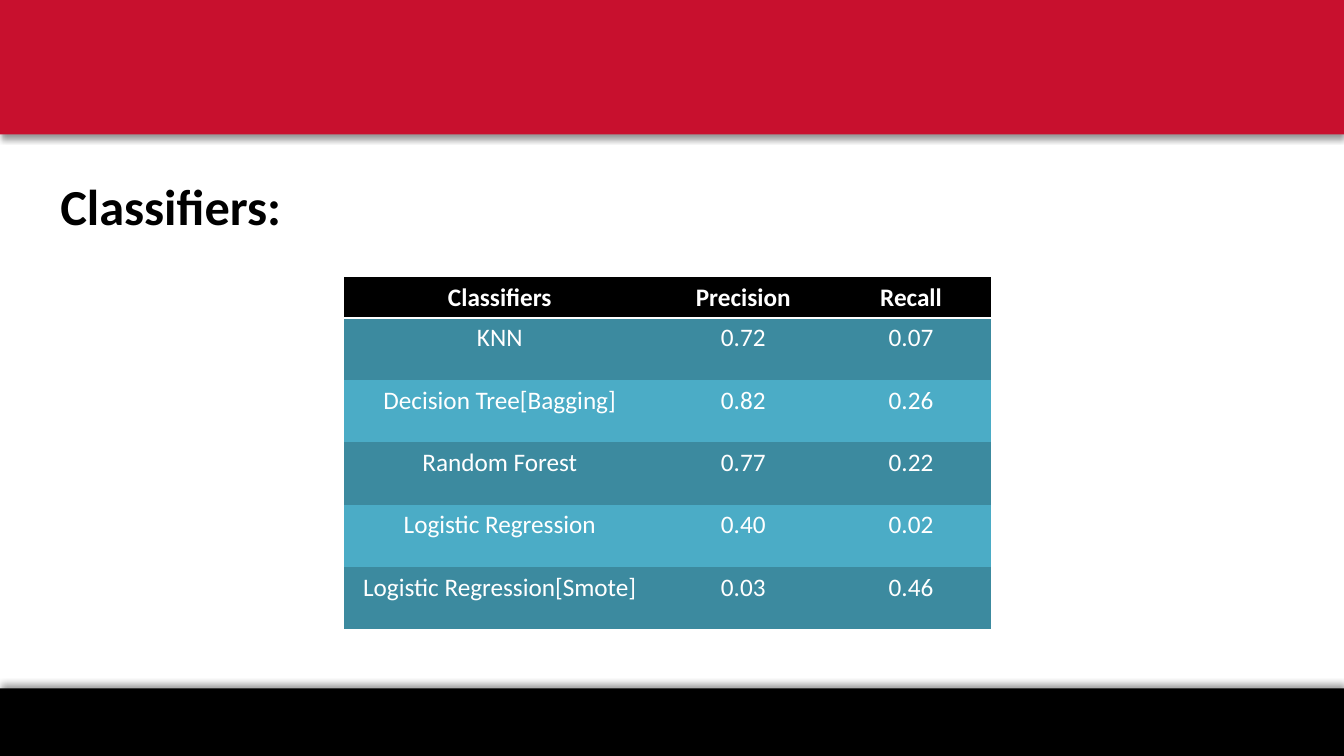
from dataclasses import dataclass

import pptx
import pptx.dml.color
import pptx.enum.shapes
import pptx.enum.text
import pptx.oxml
import pptx.oxml.ns
import pptx.util
from pptx.util import Cm

Align = pptx.enum.text.PP_ALIGN


@dataclass(frozen=True)
class Theme:
    font: str = "Calibri"
    red: str = "C8102E"
    black: str = "000000"
    white: str = "FFFFFF"
    band_dark: str = "3C8A9F"
    band_light: str = "4BACC6"
    title_size: int = 36
    table_size: int = 18
    rule_width: int = 2


THEME = Theme()
PLAIN_TABLE_STYLE = "{2D5ABB26-0587-4C30-8999-92F81FD0307C}"
HEADER = ("Classifiers", "Precision", "Recall")
RESULTS = (
    ("KNN", "0.72", "0.07"),
    ("Decision Tree[Bagging]", "0.82", "0.26"),
    ("Random Forest", "0.77", "0.22"),
    ("Logistic Regression", "0.40", "0.02"),
    ("Logistic Regression[Smote]", "0.03", "0.46"),
)
COLUMN_WIDTHS = (7.83, 4.44, 4.02)
HEADER_HEIGHT = 1.03
ROW_HEIGHT = 1.57


def rgb(color):
    return pptx.dml.color.RGBColor.from_string(color)


def write_text(text_frame, text, *, size, color, bold=False, align=Align.LEFT):
    paragraph = text_frame.paragraphs[0]
    paragraph.alignment = align
    run = paragraph.add_run()
    run.text = text
    run.font.name = THEME.font
    run.font.size = pptx.util.Pt(size)
    run.font.bold = bold
    run.font.color.rgb = rgb(color)


def fill_solid(target, color):
    target.fill.solid()
    target.fill.fore_color.rgb = rgb(color)


def add_band(slide, box, color, shadow_degrees):
    band = slide.shapes.add_shape(pptx.enum.shapes.MSO_SHAPE.RECTANGLE, *map(Cm, box))
    fill_solid(band, color)
    band.line.fill.background()
    band.shadow.inherit = False
    effects = band._element.spPr.find(pptx.oxml.ns.qn("a:effectLst"))
    effects.append(pptx.oxml.parse_xml(
        f'<a:outerShdw {pptx.oxml.ns.nsdecls("a")} blurRad="{pptx.util.Pt(4)}" '
        f'dist="{pptx.util.Pt(3)}" dir="{shadow_degrees * 60000}" rotWithShape="0">'
        f'<a:srgbClr val="{THEME.black}"><a:alpha val="40000"/></a:srgbClr>'
        '</a:outerShdw>'
    ))


def add_title(slide, box, text):
    title = slide.shapes.add_textbox(*map(Cm, box))
    title.text_frame.word_wrap = True
    title.text_frame.auto_size = pptx.enum.text.MSO_AUTO_SIZE.SHAPE_TO_FIT_TEXT
    write_text(title.text_frame, text, size=THEME.title_size,
               color=THEME.black, bold=True)


def add_bottom_rule(cell):
    properties = cell._tc.get_or_add_tcPr()
    properties.insert(0, pptx.oxml.parse_xml(
        f'<a:lnB {pptx.oxml.ns.nsdecls("a")} w="{pptx.util.Pt(THEME.rule_width)}">'
        f'<a:solidFill><a:srgbClr val="{THEME.white}"/></a:solidFill></a:lnB>'
    ))


def add_results_table(slide, box):
    rows = (HEADER, *RESULTS)
    frame = slide.shapes.add_table(len(rows), len(HEADER), *map(Cm, box))
    table = frame.table
    table._tbl.tblPr.find(pptx.oxml.ns.qn("a:tableStyleId")).text = PLAIN_TABLE_STYLE
    for column, width in zip(table.columns, COLUMN_WIDTHS):
        column.width = Cm(width)
    for row_index, values in enumerate(rows):
        is_header = row_index == 0
        table.rows[row_index].height = Cm(HEADER_HEIGHT if is_header else ROW_HEIGHT)
        band_color = THEME.band_dark if row_index % 2 else THEME.band_light
        for column_index, value in enumerate(values):
            cell = table.cell(row_index, column_index)
            fill_solid(cell, THEME.black if is_header else band_color)
            write_text(cell.text_frame, value, size=THEME.table_size,
                       color=THEME.white, bold=is_header, align=Align.CENTER)
            if is_header:
                add_bottom_rule(cell)


def build_classifier_slide(presentation, box):
    left, top, width, height = box
    slide = presentation.slides.add_slide(presentation.slide_layouts[6])
    footer_height = 1.7
    add_band(slide, (left, top + height - footer_height, width, footer_height),
             THEME.black, 270)
    add_band(slide, (left, top, width, 3.39), THEME.red, 90)
    table_height = HEADER_HEIGHT + ROW_HEIGHT * len(RESULTS)
    add_results_table(slide, (left + 8.68, top + 6.98, sum(COLUMN_WIDTHS), table_height))
    add_title(slide, (left + 1.27, top + 4.3, 6.99, 1.8), "Classifiers:")


def main():
    presentation = pptx.Presentation()
    width, height = 33.87, 19.05
    presentation.slide_width = Cm(width)
    presentation.slide_height = Cm(height)
    build_classifier_slide(presentation, (0, 0, width, height))
    presentation.save("out.pptx")


if __name__ == "__main__":
    main()
